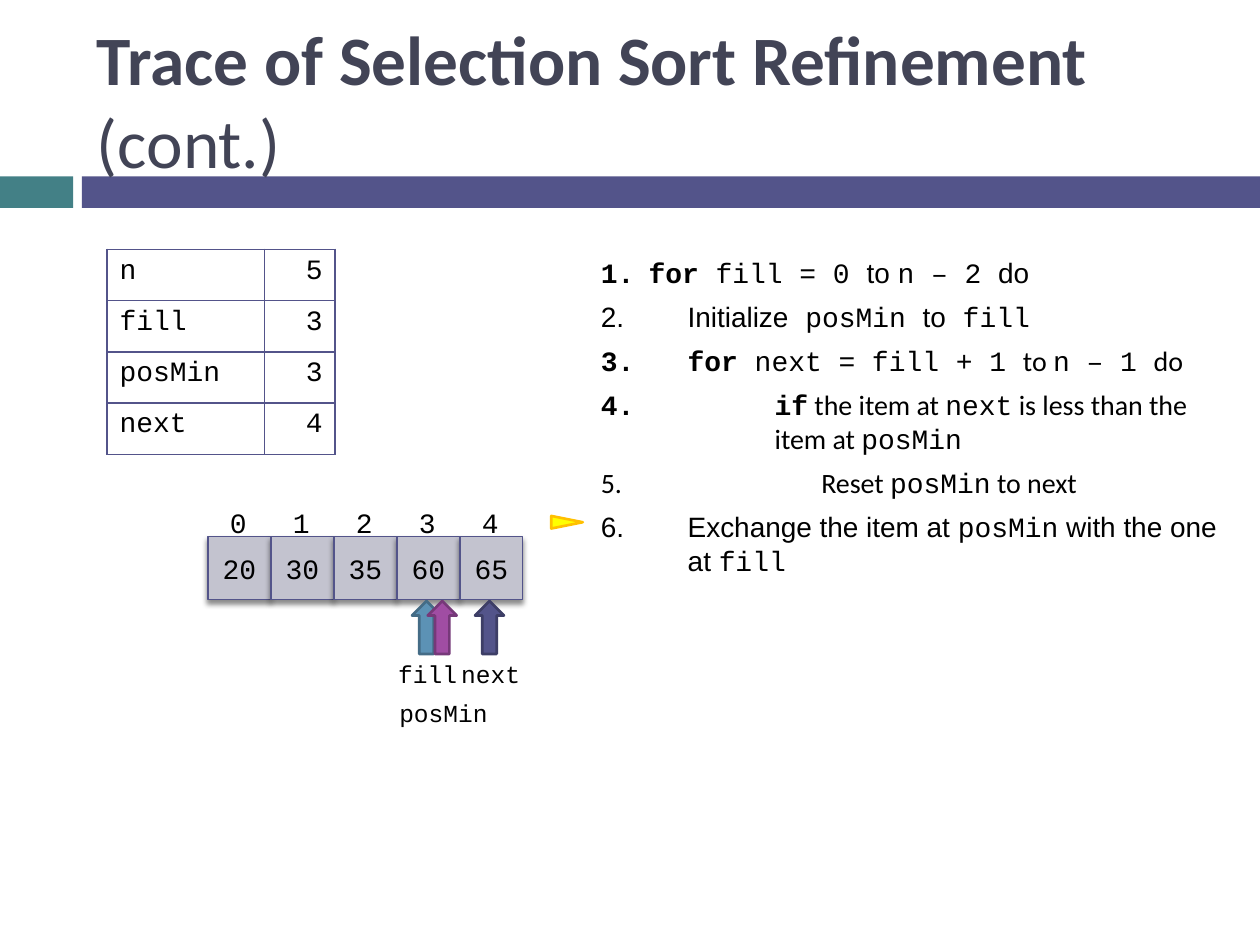
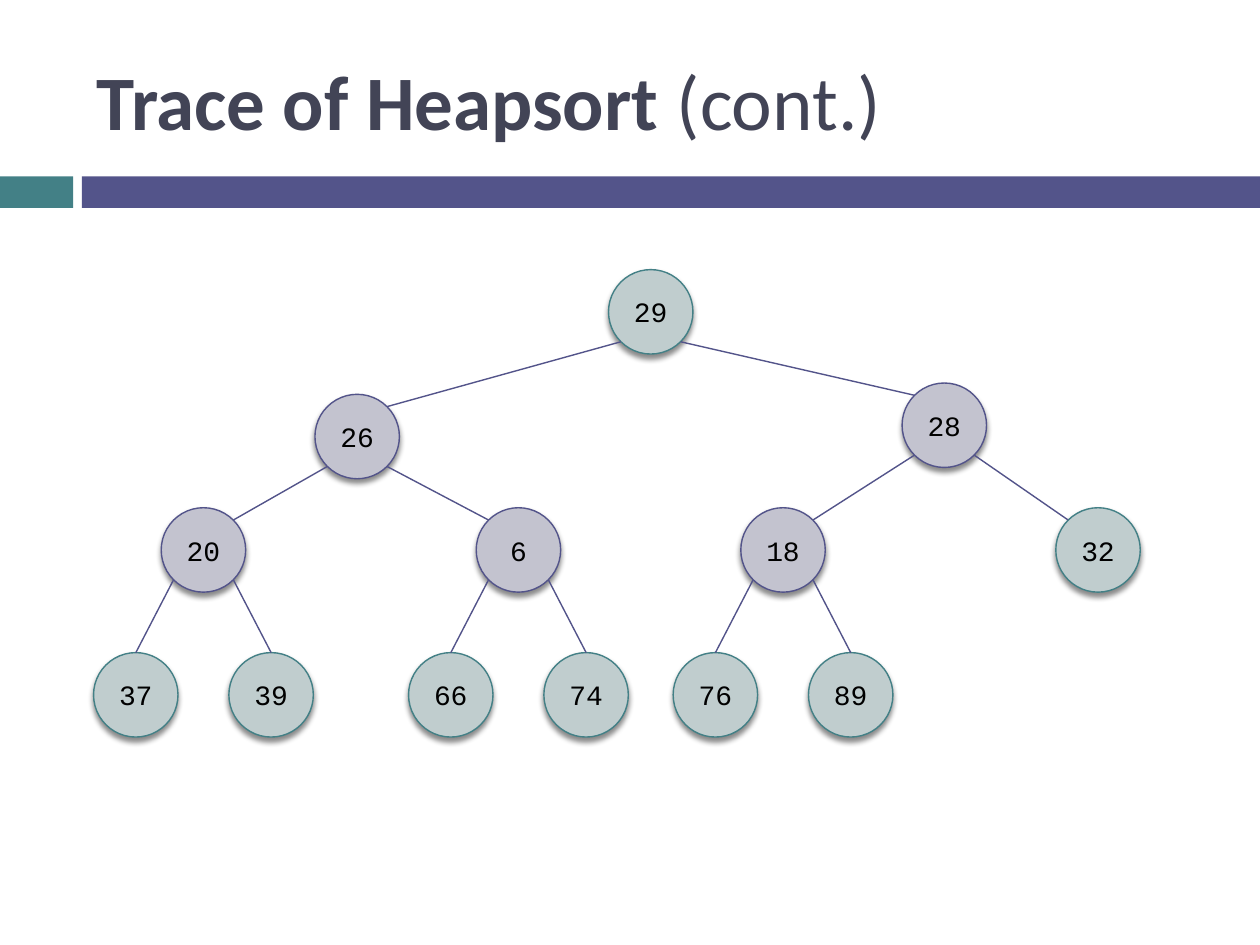
from dataclasses import dataclass

from lxml import etree
from pptx import Presentation
from pptx.dml.color import RGBColor
from pptx.enum.shapes import MSO_CONNECTOR, MSO_SHAPE
from pptx.enum.text import MSO_ANCHOR, PP_ALIGN
from pptx.oxml.ns import qn
from pptx.util import Inches, Pt

RECTANGLE = MSO_SHAPE.RECTANGLE
ELLIPSE = MSO_SHAPE.OVAL
UP_ARROW = MSO_SHAPE.UP_ARROW
TRIANGLE = MSO_SHAPE.ISOSCELES_TRIANGLE
STRAIGHT = MSO_CONNECTOR.STRAIGHT
LEFT, CENTER, RIGHT = PP_ALIGN.LEFT, PP_ALIGN.CENTER, PP_ALIGN.RIGHT
TOP, MIDDLE = MSO_ANCHOR.TOP, MSO_ANCHOR.MIDDLE

SLIDE_WIDTH, SLIDE_HEIGHT = Inches(10), Inches(7.5)
COLUMNS, ROWS = 100, 75


@dataclass(frozen=True)
class Theme:
    purple: str = "53548A"
    teal: str = "438086"
    purple_tint: str = "C3C3CF"
    teal_tint: str = "C0CDCE"
    title: str = "424456"
    text: str = "000000"
    sans: str = "Calibri"
    arial: str = "Arial"
    code: str = "Courier New"
    body_size: float = 16
    label_size: float = 14
    thin: float = 0.79
    border: float = 1
    outline: float = 1.5


THEME = Theme()
SANS, ARIAL, CODE = THEME.sans, THEME.arial, THEME.code

ALGORITHM = [
    (3.8, [("for", CODE, True), (" fill = 0 ", CODE), ("to ", ARIAL),
           ("n – 2 ", CODE), ("do", ARIAL)]),
    (6.9, [("Initialize", ARIAL), (" posMin ", CODE), ("to", ARIAL), (" fill", CODE)]),
    (6.9, [("for", CODE, True), (" next = fill + 1 ", CODE), ("to ", SANS),
           ("n – 1 ", CODE), ("do", SANS)]),
    (13.8, [("if", CODE, True), (" the item at ", SANS), ("next", CODE),
            (" is less than the item at ", SANS), ("posMin", CODE)]),
    (17.5, [("Reset ", SANS), ("posMin", CODE), (" to next", SANS)]),
    (6.9, [("Exchange the item at ", ARIAL), ("posMin", CODE),
           (" with the one at ", ARIAL), ("fill", CODE)]),
]
VARIABLES = [("n", "5"), ("fill", "3"), ("posMin", "3"), ("next", "4")]
ARRAY = [20, 30, 35, 60, 65]
POINTERS = [
    ("fill", 33.85, 51.8, "5C92B5", "446C86"),
    ("posMin", 35.1, 54.9, "A04DA3", "763979"),
    ("next", 38.85, 51.8, THEME.purple, "3D3E66"),
]
HEAP = [29, 26, 28, 20, 6, 18, 32, 37, 39, 66, 74, 76, 89]
STILL_IN_HEAP = {26, 28, 20, 6, 18}
UPPER_CENTERS = [(51.65, 24.75), (28.35, 34.65), (74.95, 33.75)] + [
    (x, 43.65) for x in (16.15, 41.15, 62.15, 87.15)]
FIRST_LEAF = len(UPPER_CENTERS)
LEAF_ROW, LEAF_OFFSET = 55.15, 5.37
NODE_SIZE = 6.7
DIAGONAL = NODE_SIZE / 2 * 0.71


def column(count):
    return round(SLIDE_WIDTH * count / COLUMNS)


def row(count):
    return round(SLIDE_HEIGHT * count / ROWS)


def box(left, top, width, height):
    return column(left), row(top), column(width), row(height)


def rgb(value):
    return RGBColor.from_string(value)


def write_text(frame, paragraphs, size=THEME.body_size, color=THEME.text, font=CODE,
               align=LEFT, anchor=TOP, wrap=True, hangs=None, space_after=0):
    frame.word_wrap = wrap
    frame.vertical_anchor = anchor
    for index, runs in enumerate(paragraphs):
        paragraph = frame.paragraphs[0] if index == 0 else frame.add_paragraph()
        if hangs:
            number_paragraph(paragraph, hangs[index])
        paragraph.alignment = align
        paragraph.space_after = Pt(space_after)
        for text, face, *bold in [(runs, font)] if isinstance(runs, str) else runs:
            run = paragraph.add_run()
            run.text = text
            run.font.name = face
            run.font.size = Pt(size)
            run.font.bold = bool(bold)
            run.font.color.rgb = rgb(color)


def number_paragraph(paragraph, hang):
    properties = paragraph._p.get_or_add_pPr()
    properties.set("marL", str(column(hang)))
    properties.set("indent", str(-column(hang)))
    etree.SubElement(properties, qn("a:buAutoNum"), type="arabicPeriod")


def add_text(slide, place, paragraphs, **text_format):
    shape = slide.shapes.add_textbox(*box(*place))
    write_text(shape.text_frame, paragraphs, **text_format)


def add_shape(slide, kind, place, fill, line=None, width=THEME.outline):
    shape = slide.shapes.add_shape(kind, *box(*place))
    shape.shadow.inherit = False
    shape.fill.solid()
    shape.fill.fore_color.rgb = rgb(fill)
    if line:
        shape.line.color.rgb = rgb(line)
        shape.line.width = Pt(width)
    else:
        shape.line.fill.background()
    return shape


def add_shadow(shape):
    effects = shape._element.spPr.find(qn("a:effectLst"))
    shadow = etree.SubElement(effects, qn("a:outerShdw"), blurRad=str(Pt(3)),
                              dist=str(Pt(2.4)), dir="5400000", rotWithShape="0")
    color = etree.SubElement(shadow, qn("a:srgbClr"), val="000000")
    etree.SubElement(color, qn("a:alpha"), val="45000")


def add_value(slide, kind, place, value, fill, line):
    shape = add_shape(slide, kind, place, fill, line, THEME.thin)
    add_shadow(shape)
    write_text(shape.text_frame, [str(value)], align=CENTER, anchor=MIDDLE, wrap=False)
    return shape


def add_edge(slide, start, end, end_shape=None):
    connector = slide.shapes.add_connector(
        STRAIGHT, column(start[0]), row(start[1]), column(end[0]), row(end[1]))
    connector.line.color.rgb = rgb(THEME.purple)
    connector.line.width = Pt(THEME.thin)
    etree.SubElement(connector._element.spPr, qn("a:effectLst"))
    if end_shape is not None:
        connector.end_connect(end_shape, 0)


def border_cell(cell):
    properties = cell._tc.get_or_add_tcPr()
    for position, side in enumerate(("lnL", "lnR", "lnT", "lnB")):
        line = etree.Element(qn(f"a:{side}"), w=str(Pt(THEME.border)))
        fill = etree.SubElement(line, qn("a:solidFill"))
        etree.SubElement(fill, qn("a:srgbClr"), val=THEME.purple)
        properties.insert(position, line)


def add_variable_table(slide):
    widths, height = (12.5, 5.6), 4.07
    place = box(8.5, 19.8, sum(widths), height * len(VARIABLES))
    table = slide.shapes.add_table(len(VARIABLES), len(widths), *place).table
    table.first_row = table.horz_banding = False
    for table_column, width in zip(table.columns, widths):
        table_column.width = column(width)
    for row_index, values in enumerate(VARIABLES):
        table.rows[row_index].height = row(height)
        for column_index, (value, align) in enumerate(zip(values, (LEFT, RIGHT))):
            cell = table.cell(row_index, column_index)
            cell.fill.background()
            border_cell(cell)
            write_text(cell.text_frame, [value], align=align)


def add_array(slide):
    left, pitch = 16.5, 5
    for index, value in enumerate(ARRAY):
        add_value(slide, RECTANGLE, (left + index * pitch, 42.6, pitch, pitch),
                  value, THEME.purple_tint, THEME.purple)
    for index in range(len(ARRAY)):
        add_text(slide, (left + index * pitch, 39.6, 4.8, 3.7), [str(index)], align=CENTER)


def add_pointer(slide, name, center, label_top, fill, line):
    arrow_width, label_width = 2.3, 10.7
    add_shape(slide, UP_ARROW, (center - arrow_width / 2, 47.7, arrow_width, 4.2), fill, line)
    add_text(slide, (center + 0.1 - label_width / 2, label_top, label_width, 3.4),
             [name], size=THEME.label_size, align=CENTER)


def add_tree(slide):
    centers = list(UPPER_CENTERS)
    for index in range(FIRST_LEAF, len(HEAP)):
        parent_x = centers[(index - 1) // 2][0]
        side = -1 if index % 2 else 1
        centers.append((parent_x + side * LEAF_OFFSET, LEAF_ROW))
    nodes = []
    for value, (x, y) in zip(HEAP, centers):
        colors = ((THEME.purple_tint, THEME.purple) if value in STILL_IN_HEAP
                  else (THEME.teal_tint, THEME.teal))
        place = (x - NODE_SIZE / 2, y - NODE_SIZE / 2, NODE_SIZE, NODE_SIZE)
        nodes.append(add_value(slide, ELLIPSE, place, value, *colors))
    for index in range(1, len(HEAP)):
        parent_x, parent_y = centers[(index - 1) // 2]
        x, y = centers[index]
        reach = DIAGONAL if index % 2 else -DIAGONAL
        start = (parent_x - reach, parent_y + DIAGONAL)
        if index < FIRST_LEAF:
            add_edge(slide, start, (x + reach, y - DIAGONAL))
        else:
            add_edge(slide, start, (x, y - NODE_SIZE / 2), nodes[index])


def add_base_slide(presentation, title, title_size):
    slide = presentation.slides.add_slide(presentation.slide_layouts[6])
    add_shape(slide, RECTANGLE, (0, 14, 5.8, 2.5), THEME.teal)
    add_shape(slide, RECTANGLE, (6.5, 14, 93.5, 2.5), THEME.purple)
    add_text(slide, (6.7, 2.5, 89.2, 10.8), [[(title, SANS, True), ("(cont.)", SANS)]],
             size=title_size, color=THEME.title, anchor=MIDDLE)
    return slide


def build_selection_sort(presentation):
    slide = add_base_slide(presentation, "Trace of Selection Sort Refinement ", 39.6)
    hangs, steps = zip(*ALGORITHM)
    add_text(slide, (46.7, 19.8, 51.7, 30.3), steps, hangs=hangs, space_after=6)
    add_array(slide)
    add_variable_table(slide)
    for pointer in POINTERS:
        add_pointer(slide, *pointer)
    marker = add_shape(slide, TRIANGLE, (44.5, 40.2, 1, 2.5), "FFFF00", "FFC000")
    marker.rotation = 90


def build_heapsort(presentation):
    slide = add_base_slide(presentation, "Trace of Heapsort ", 44)
    add_tree(slide)


def main():
    presentation = Presentation()
    presentation.slide_width, presentation.slide_height = SLIDE_WIDTH, SLIDE_HEIGHT
    build_selection_sort(presentation)
    build_heapsort(presentation)
    presentation.save("out.pptx")


if __name__ == "__main__":
    main()
